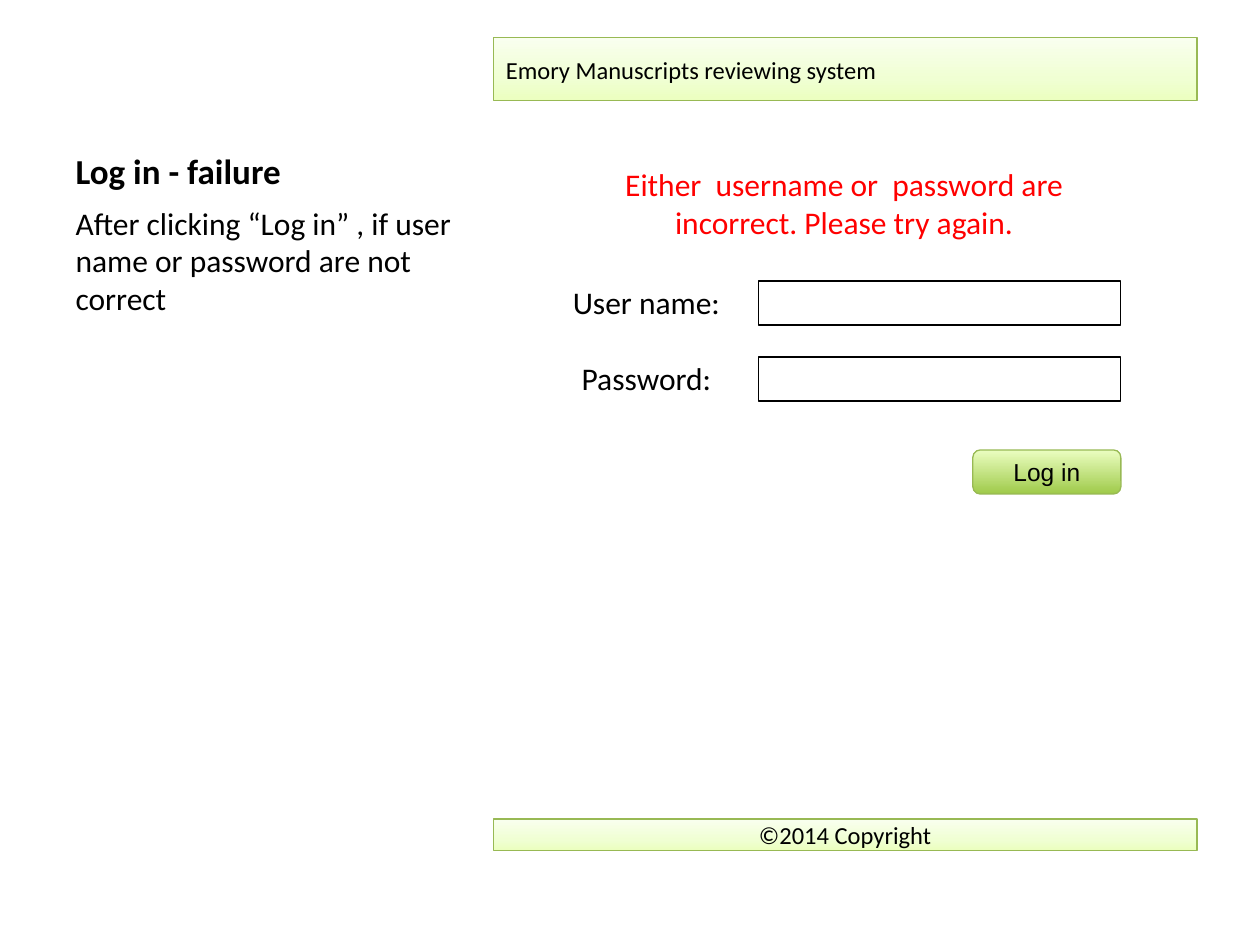
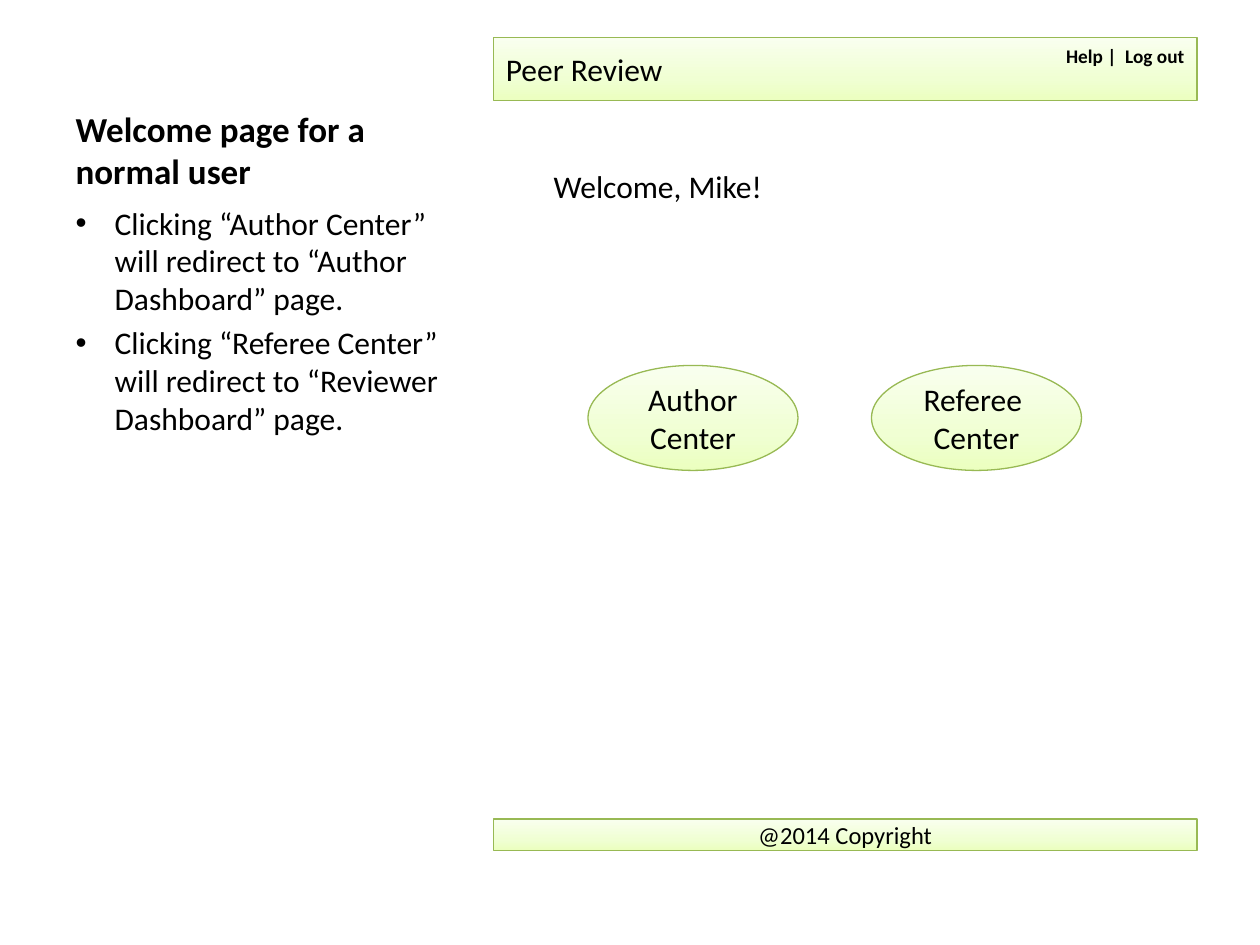
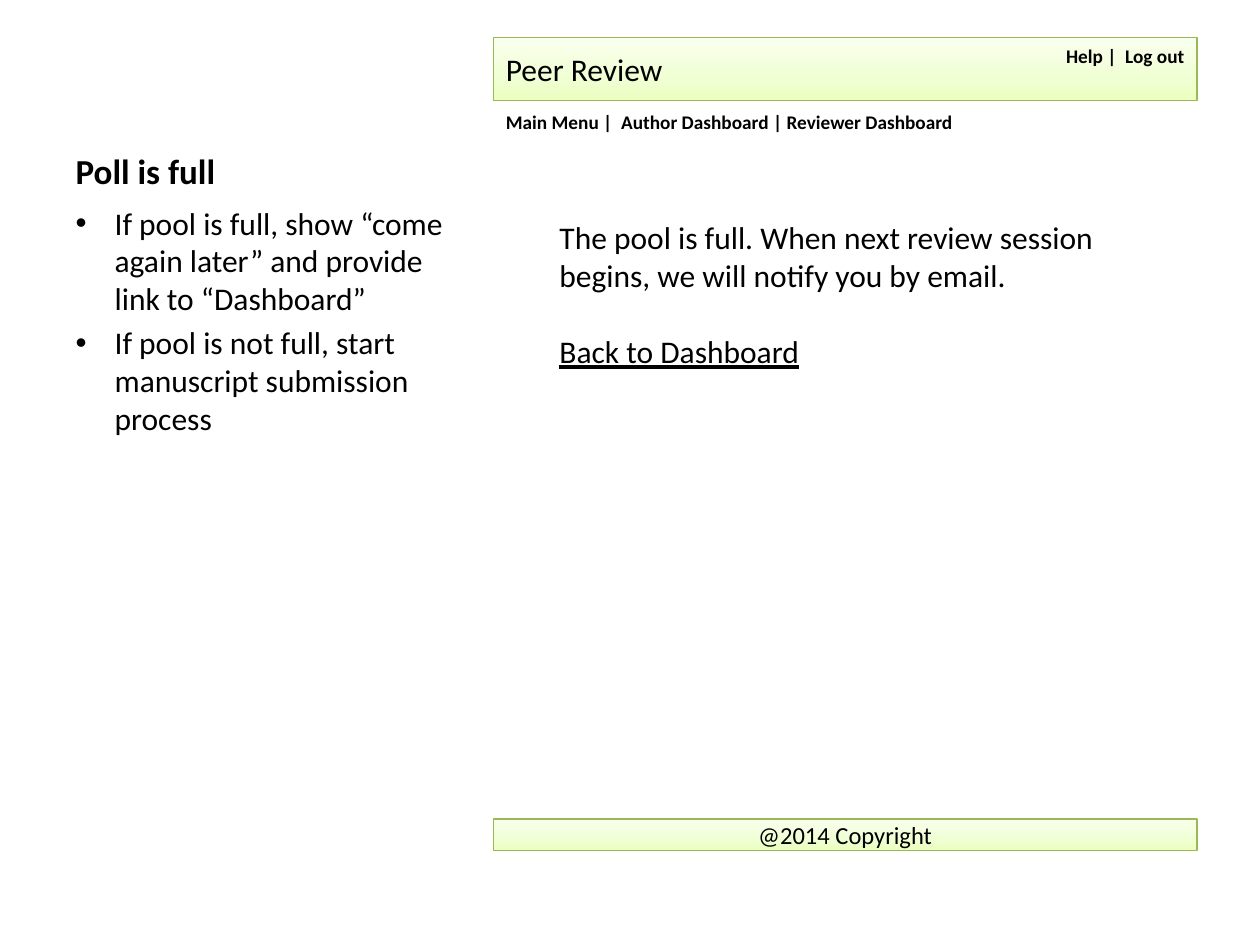
from copy import deepcopy
from dataclasses import dataclass

from lxml import etree
from pptx import Presentation
from pptx import util as u
from pptx.dml.color import RGBColor
from pptx.enum import shapes, text
from pptx.oxml.ns import qn

# Grid: 120 columns by 90 rows over the slide
WIDTH, HEIGHT = u.Inches(10), u.Inches(7.5)
COLUMN, ROW = WIDTH / 120, HEIGHT / 90

LEFT, CENTER, RIGHT = (text.PP_ALIGN.LEFT, text.PP_ALIGN.CENTER,
                       text.PP_ALIGN.RIGHT)
RECT = shapes.MSO_SHAPE.RECTANGLE
OVAL = shapes.MSO_SHAPE.OVAL
ROUNDED = shapes.MSO_SHAPE.ROUNDED_RECTANGLE


@dataclass(frozen=True)
class Theme:
    ink: str = "000000"
    alert: str = "FF0000"
    edge: str = "98B954"
    pale: tuple = ((0, "EBFFBF"), (0.35, "F0FFD3"), (1, "F9FFEF"))
    strong: tuple = ((0, "9FCA4A"), (1, "EBFEC1"))
    font: str = "Calibri"
    button_font: str = "Arial"
    heading: int = 20
    body: int = 18
    small: int = 14
    menu: int = 11
    line: float = 0.75


THEME = Theme()

# Page frame shared by the mock-ups: left, top, width, height in grid units
PAGE_LEFT, PAGE_WIDTH = 47, 67
HEADER = (PAGE_LEFT, 3.6, PAGE_WIDTH, 6)
FOOTER = (PAGE_LEFT, 78, PAGE_WIDTH, 3)
TITLE = (6, 3.6, 39.5, 15.2)
NOTES = (6, 18.8, 39.5, 61.6)
MENU_HEIGHT = 2.6


def grid(left, top, width, height):
    return [u.Emu(round(n)) for n in
            (left * COLUMN, top * ROW, width * COLUMN, height * ROW)]


def write(shape, lines, align=LEFT, anchor=text.MSO_ANCHOR.MIDDLE, gap=0,
          color=THEME.ink, **font):
    """Fill a shape with paragraphs, all in one format; return them."""
    frame = shape.text_frame
    for name, value in {"word_wrap": True, "vertical_anchor": anchor,
                        "auto_size": text.MSO_AUTO_SIZE.NONE}.items():
        setattr(frame, name, value)
    style = {"name": THEME.font, "size": THEME.body, **font}
    style["size"] = u.Pt(style["size"])
    paragraphs = []
    for index, line in enumerate(lines):
        paragraph = frame.add_paragraph() if index else frame.paragraphs[0]
        paragraph.alignment = align
        paragraph.space_before = u.Pt(gap if index else 0)
        run = paragraph.add_run()
        run.text = line
        for name, value in style.items():
            setattr(run.font, name, value)
        run.font.color.rgb = RGBColor.from_string(color)
        paragraphs.append(paragraph)
    return paragraphs


def set_bullet(paragraph, bulleted):
    pPr = paragraph._p.get_or_add_pPr()
    indent = u.Inches(0.31) if bulleted else 0
    pPr.set("marL", str(indent))
    pPr.set("indent", str(-indent))
    if bulleted:
        etree.SubElement(pPr, qn("a:buFont")).set("typeface", "Arial")
        etree.SubElement(pPr, qn("a:buChar")).set("char", "•")
    else:
        etree.SubElement(pPr, qn("a:buNone"))


def shade(shape, stops):
    """Gradient that rises from the bottom edge."""
    shape.fill.gradient()
    shape.fill.gradient_angle = 90
    stop_list = shape._element.spPr.find(".//" + qn("a:gsLst"))
    while len(stop_list) < len(stops):
        stop_list.append(deepcopy(stop_list[0]))
    for stop, (position, color) in zip(shape.fill.gradient_stops, stops):
        stop.position = position
        stop.color.rgb = RGBColor.from_string(color)


def add_box(slide, kind, place, stops=None, edge=THEME.edge):
    box = slide.shapes.add_shape(kind, *grid(*place))
    box.shadow.inherit = False
    if stops:
        shade(box, stops)
    else:
        box.fill.background()
    box.line.color.rgb = RGBColor.from_string(edge)
    box.line.width = u.Pt(THEME.line)
    return box


def add_label(slide, place, lines, **style):
    return write(slide.shapes.add_textbox(*grid(*place)), lines, **style)


def add_field(slide, top, caption):
    add_box(slide, RECT, (72.25, top, 34.5, 4.2), edge=THEME.ink)
    add_label(slide, (52.7, top - 1, 18.4, 6), [caption], align=CENTER)


def add_page(prs, heading, notes, site, copyright_line, bulleted=True,
             site_size=THEME.body):
    """Slide with its notes on the left and a page frame on the right."""
    slide = prs.slides.add_slide(prs.slide_layouts[1])
    title, body = slide.placeholders
    for holder, place in ((title, TITLE), (body, NOTES)):
        holder.left, holder.top, holder.width, holder.height = grid(*place)
    write(title, [heading], anchor=text.MSO_ANCHOR.BOTTOM,
          size=THEME.heading, bold=True)
    for note in write(body, notes, anchor=text.MSO_ANCHOR.TOP, gap=3.6):
        set_bullet(note, bulleted)
    write(add_box(slide, RECT, HEADER, THEME.pale), [site], size=site_size)
    write(add_box(slide, RECT, FOOTER, THEME.pale), [copyright_line],
          align=CENTER, size=THEME.small)
    return slide


def add_member_page(prs, heading, notes):
    """Page seen after logging in."""
    slide = add_page(prs, heading, notes, "Peer Review", "@2014 Copyright")
    add_label(slide, (100, 4, 14, MENU_HEIGHT), ["Help |  Log out"],
              align=RIGHT, size=THEME.menu, bold=True)
    return slide


def build_login_failure(prs):
    slide = add_page(
        prs, "Log in - failure",
        ["After clicking “Log in” , if user name or password are not correct"],
        "Emory Manuscripts reviewing system", "©2014 Copyright",
        bulleted=False, site_size=THEME.small)
    add_label(slide, (54.25, 16.3, 52.3, 6),
              ["Either  username or  password are incorrect. "
               "Please try again."], align=CENTER, color=THEME.alert)
    for index, caption in enumerate(("User name: ", "Password: ")):
        add_field(slide, 26.75 + 7.25 * index, caption)
    login = add_box(slide, ROUNDED, (92.65, 42.85, 14.1, 4.2), THEME.strong)
    write(login, ["Log in"], align=CENTER, name=THEME.button_font,
          size=THEME.small)


def build_welcome(prs):
    slide = add_member_page(prs, "Welcome page for a normal user", [
        "Clicking “Author Center” will redirect to “Author Dashboard” page.",
        "Clicking “Referee Center” will redirect to “Reviewer Dashboard” "
        "page."])
    add_label(slide, (PAGE_LEFT, 14.75, 31.3, 6), ["Welcome, Mike!"],
              align=CENTER)
    for index, role in enumerate(("Author", "Referee ")):
        center = add_box(slide, OVAL, (56 + 27 * index, 34.8, 20, 10),
                         THEME.pale)
        write(center, [role, "Center"], align=CENTER)


def build_pool_full(prs):
    slide = add_member_page(prs, "Poll is full", [
        "If pool is full, show “come again later” and provide link to "
        "“Dashboard”",
        "If pool is not full, start manuscript submission process"])
    _, back = add_label(slide, (52.1, 22, 54.8, 12), [
        "The pool is full. When next review session begins, we will notify "
        "you by email.", "Back to Dashboard"], gap=22)
    back.runs[0].font.underline = True
    add_label(slide, (PAGE_LEFT, 10.3, PAGE_WIDTH, MENU_HEIGHT),
              ["Main Menu |  Author Dashboard | Reviewer Dashboard"],
              size=THEME.menu, bold=True)


def main():
    prs = Presentation()
    prs.slide_width, prs.slide_height = WIDTH, HEIGHT
    build_login_failure(prs)
    build_welcome(prs)
    build_pool_full(prs)
    prs.save("out.pptx")


if __name__ == "__main__":
    main()
